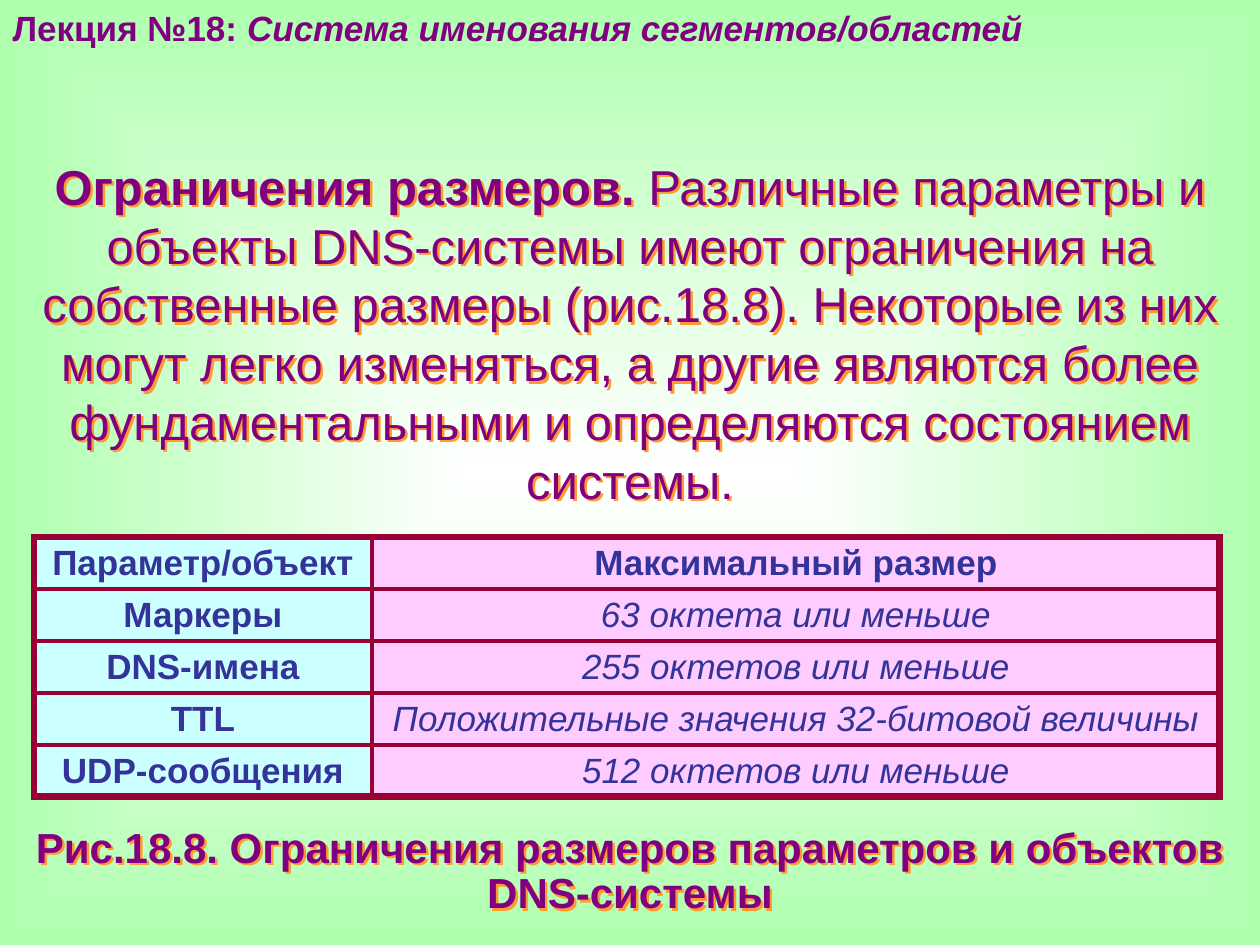
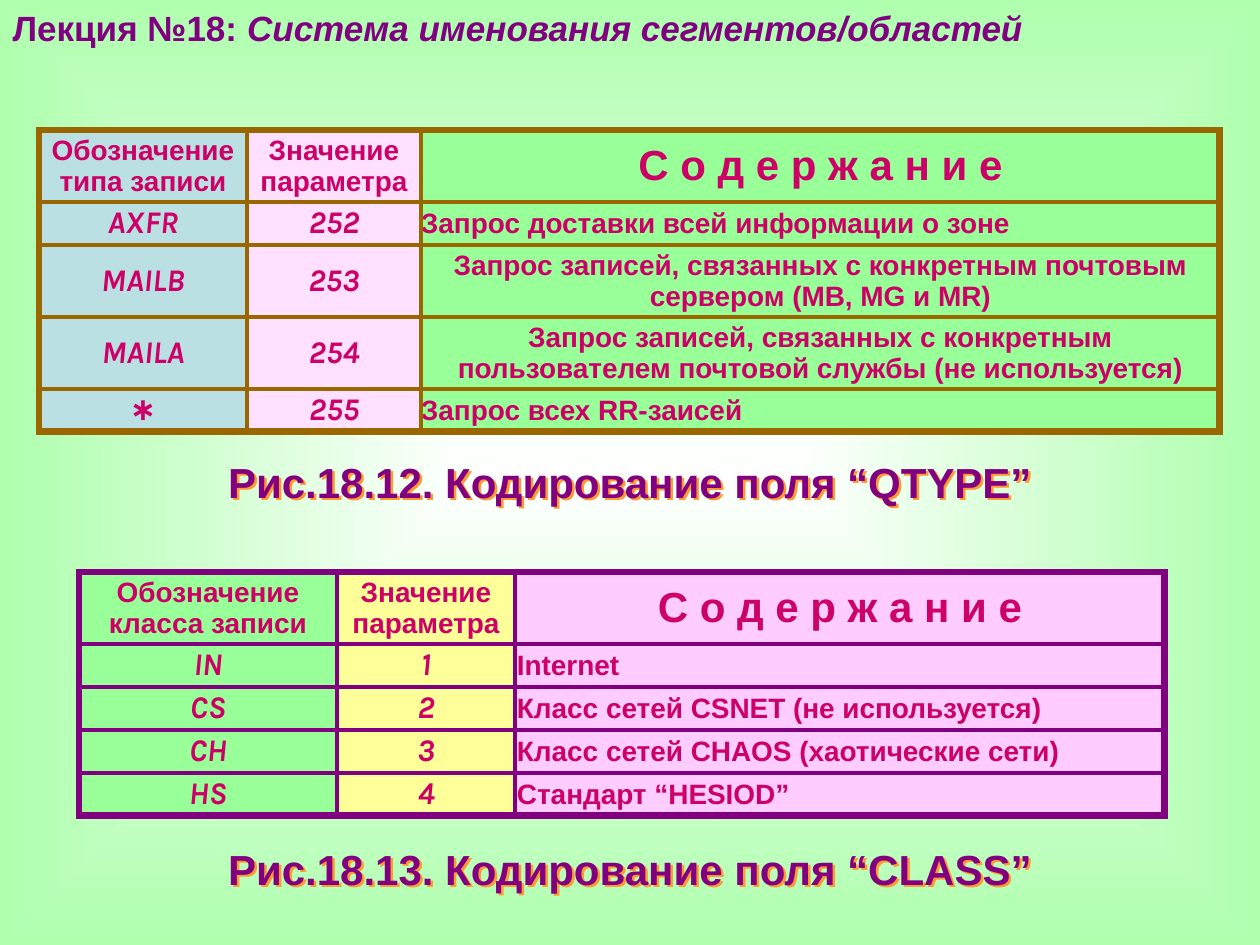
from lxml.etree import SubElement
from pptx import Presentation
from pptx.dml.color import RGBColor
from pptx.enum.text import MSO_ANCHOR as ANCHOR, MSO_AUTO_SIZE as AUTO, PP_ALIGN as ALIGN
from pptx.oxml import parse_xml
from pptx.oxml.ns import nsdecls, qn
from pptx.util import Emu, Pt

SCALE = 914400 / 126
WIDTH, HEIGHT = 1260, 945
FONT, CODE_FONT = "Arial", "Karla"
THICK, THIN = Pt(4.5), Pt(3)

WHITE = RGBColor(0xFF, 0xFF, 0xFF)
MINT = RGBColor(0xAF, 0xFF, 0xAF)
PURPLE = RGBColor(0x80, 0x00, 0x80)
ORANGE = RGBColor(0xFF, 0x99, 0x33)
INDIGO = RGBColor(0x33, 0x33, 0x99)
CRIMSON = RGBColor(0xCC, 0x00, 0x66)
MAROON = RGBColor(0x99, 0x00, 0x33)
BROWN = RGBColor(0x99, 0x66, 0x00)
CYAN = RGBColor(0xCC, 0xFF, 0xFF)
PINK = RGBColor(0xFF, 0xCC, 0xFF)
PALE_PINK = RGBColor(0xFF, 0xE1, 0xFF)
STEEL = RGBColor(0xBB, 0xE0, 0xE3)
GREEN = RGBColor(0x99, 0xFF, 0x99)
YELLOW = RGBColor(0xFF, 0xFF, 0x99)


def px(n):
    """Turn px into EMU."""
    return Emu(round(n * SCALE))


def write(p, text, size=20, color=PURPLE, bold=True, italic=False, font=FONT):
    """Add a formatted run to a paragraph."""
    r = p.add_run()
    r.text = text
    f = r.font
    f.name, f.size, f.bold, f.italic = font, Pt(size), bold, italic
    f.color.rgb = color


def set_background(master):
    """Give the master a glow from a white centre to mint edges."""
    c_sld = master._element.cSld
    for old in c_sld.findall(qn("p:bg")):
        c_sld.remove(old)
    c_sld.insert(0, parse_xml(
        f'<p:bg {nsdecls("p", "a")}><p:bgPr><a:gradFill rotWithShape="0"><a:gsLst>'
        f'<a:gs pos="0"><a:srgbClr val="{WHITE}"/></a:gs>'
        f'<a:gs pos="100000"><a:srgbClr val="{MINT}"/></a:gs></a:gsLst>'
        '<a:path path="shape"><a:fillToRect l="50000" t="50000" r="50000" b="50000"/></a:path>'
        '</a:gradFill><a:effectLst/></p:bgPr></p:bg>'))


def add_slide(prs):
    """Add a slide with the lecture title at the top."""
    slide = prs.slides.add_slide(prs.slide_layouts[5])
    sp = slide.shapes.title
    sp.left, sp.top, sp.width, sp.height = px(0), px(0), px(WIDTH), px(54)
    tf = sp.text_frame
    tf.vertical_anchor, tf.auto_size = ANCHOR.TOP, AUTO.SHAPE_TO_FIT_TEXT
    p = tf.paragraphs[0]
    p.alignment = ALIGN.LEFT
    write(p, "Лекция №18: ")
    write(p, "Система именования сегментов/областей", italic=True)
    return slide


def add_shadowed_box(slide, top, height):
    """Add a full-width box whose text casts an orange shadow."""
    sp = slide.shapes.add_textbox(px(0), px(top), px(WIDTH), px(height))
    sp.fill.background()
    sp._element.spPr.append(parse_xml(
        f'<a:effectLst {nsdecls("a")}><a:outerShdw dist="25400" dir="2700000" algn="ctr" '
        f'rotWithShape="0"><a:srgbClr val="{ORANGE}"/></a:outerShdw></a:effectLst>'))
    tf = sp.text_frame
    tf.word_wrap, tf.auto_size = True, AUTO.SHAPE_TO_FIT_TEXT
    tf.paragraphs[0].alignment = ALIGN.CENTER
    return tf


def add_caption(slide, top, height, text):
    """Add a figure caption."""
    tf = add_shadowed_box(slide, top, height)
    tf.margin_left = tf.margin_right = tf.margin_top = tf.margin_bottom = 0
    tf.vertical_anchor = ANCHOR.MIDDLE
    p = tf.paragraphs[0]
    p.line_spacing = 0.9
    write(p, text, size=24)


def set_borders(cell, color, widths):
    """Draw the left, right, top and bottom borders of a cell."""
    tc_pr = cell._tc.get_or_add_tcPr()
    for side, width in zip("LRTB", widths):
        ln = SubElement(tc_pr, qn(f"a:ln{side}"), w=str(width))
        fill = SubElement(ln, qn("a:solidFill"))
        SubElement(fill, qn("a:srgbClr"), val=str(color))


def fill_cell(cell, text, fill, inset, align=ALIGN.CENTER, **fmt):
    """Write the lines of a cell and colour it."""
    cell.fill.solid()
    cell.fill.fore_color.rgb = fill
    cell.vertical_anchor = ANCHOR.MIDDLE
    cell.margin_left = cell.margin_right = px(inset[0])
    cell.margin_top = cell.margin_bottom = px(inset[1])
    tf = cell.text_frame
    for i, line in enumerate(text.split("\n")):
        p = tf.add_paragraph() if i else tf.paragraphs[0]
        p.alignment = align
        write(p, line, **fmt)


def add_grid(slide, left, top, widths, heights, rows, fills, line, inset):
    """Add a table with thick outer and thin inner borders."""
    n_rows, n_cols = len(heights), len(widths)
    table = slide.shapes.add_table(n_rows, n_cols, px(left), px(top),
                                   px(sum(widths)), px(sum(heights))).table
    table.first_row = table.horz_banding = False
    for column, width in zip(table.columns, widths):
        column.width = px(width)
    for i, row in enumerate(rows):
        table.rows[i].height = px(heights[i])
        for j, (text, fmt) in enumerate(row):
            cell = table.cell(i, j)
            outer = (j == 0, j == n_cols - 1, i == 0, i == n_rows - 1)
            set_borders(cell, line, [THICK if edge else THIN for edge in outer])
            fill_cell(cell, text, fills[j], inset, **fmt)


def limit_rows(records):
    """Format the rows of the size limits table."""
    name = dict(color=INDIGO)
    limit = dict(color=INDIGO, bold=False, italic=True)
    return [[(a, name), (b, limit if i else name)] for i, (a, b) in enumerate(records)]


def code_rows(kind, records):
    """Format the header and rows of a field coding table."""
    head = dict(size=16, color=CRIMSON)
    code = dict(size=18, color=CRIMSON, italic=True, font=CODE_FONT)
    rows = [[(kind, head), ("Значение параметра", head),
             ("С о д е р ж а н и е", dict(head, size=24))]]
    for name, value, text, align in records:
        rows.append([(name, code), (value, code), (text, dict(head, align=align))])
    return rows


def build_limits(prs):
    """Build the slide on size limits."""
    slide = add_slide(prs)
    p = add_shadowed_box(slide, 150, 365).paragraphs[0]
    write(p, "Ограничения размеров. ", size=28)
    write(p, "Различные параметры и объекты DNS-системы имеют ограничения на собственные "
             "размеры (рис.18.8). Некоторые из них могут легко изменяться, а другие являются "
             "более фундаментальными и определяются состоянием системы.", size=28, bold=False)
    rows = limit_rows([
        ("Параметр/объект", "Максимальный размер"),
        ("Маркеры", "63 октета или меньше"),
        ("DNS-имена", "255 октетов или меньше"),
        ("TTL", "Положительные значения 32-битовой величины"),
        ("UDP-сообщения", "512 октетов или меньше"),
    ])
    add_grid(slide, 34, 537, [338, 848], [52] * 5, rows, [CYAN, PINK], MAROON, (0, 5))
    add_caption(slide, 827, 91,
                "Рис.18.8. Ограничения размеров параметров и объектов DNS-системы")


def build_codes(prs):
    """Build the slide on the QTYPE and CLASS fields."""
    slide = add_slide(prs)
    rows = code_rows("Обозначение типа записи", [
        ("AXFR", "252", "Запрос доставки всей информации о зоне", ALIGN.LEFT),
        ("MAILB", "253", "Запрос записей, связанных с конкретным почтовым "
                         "сервером (MB, MG и MR)", ALIGN.CENTER),
        ("MAILA", "254", "Запрос записей, связанных с конкретным\n"
                         "пользователем почтовой службы (не используется)", ALIGN.CENTER),
        ("∗", "255", "Запрос всех RR-заисей", ALIGN.LEFT),
    ])
    add_grid(slide, 39, 130, [208, 174, 799], [72, 43, 72, 72, 43], rows,
             [STEEL, PALE_PINK, GREEN], BROWN, (0, 2))
    add_caption(slide, 462, 45, "Рис.18.12. Кодирование поля “QTYPE”")

    rows = code_rows("Обозначение\nкласса записи", [
        ("IN", "1", "Internet", ALIGN.LEFT),
        ("CS", "2", "Класс сетей CSNET (не используется)", ALIGN.LEFT),
        ("CH", "3", "Класс сетей CHAOS (хаотические сети)", ALIGN.LEFT),
        ("HS", "4", "Стандарт “HESIOD”", ALIGN.LEFT),
    ])
    add_grid(slide, 79, 572, [258, 178, 650], [72] + [43] * 4, rows,
             [GREEN, YELLOW, PINK], PURPLE, (2, 2))
    add_caption(slide, 849, 45, "Рис.18.13. Кодирование поля “CLASS”")


def main():
    """Build and save the presentation."""
    prs = Presentation()
    prs.slide_width, prs.slide_height = px(WIDTH), px(HEIGHT)
    set_background(prs.slide_master)
    build_limits(prs)
    build_codes(prs)
    prs.save("out.pptx")


if __name__ == "__main__":
    main()
